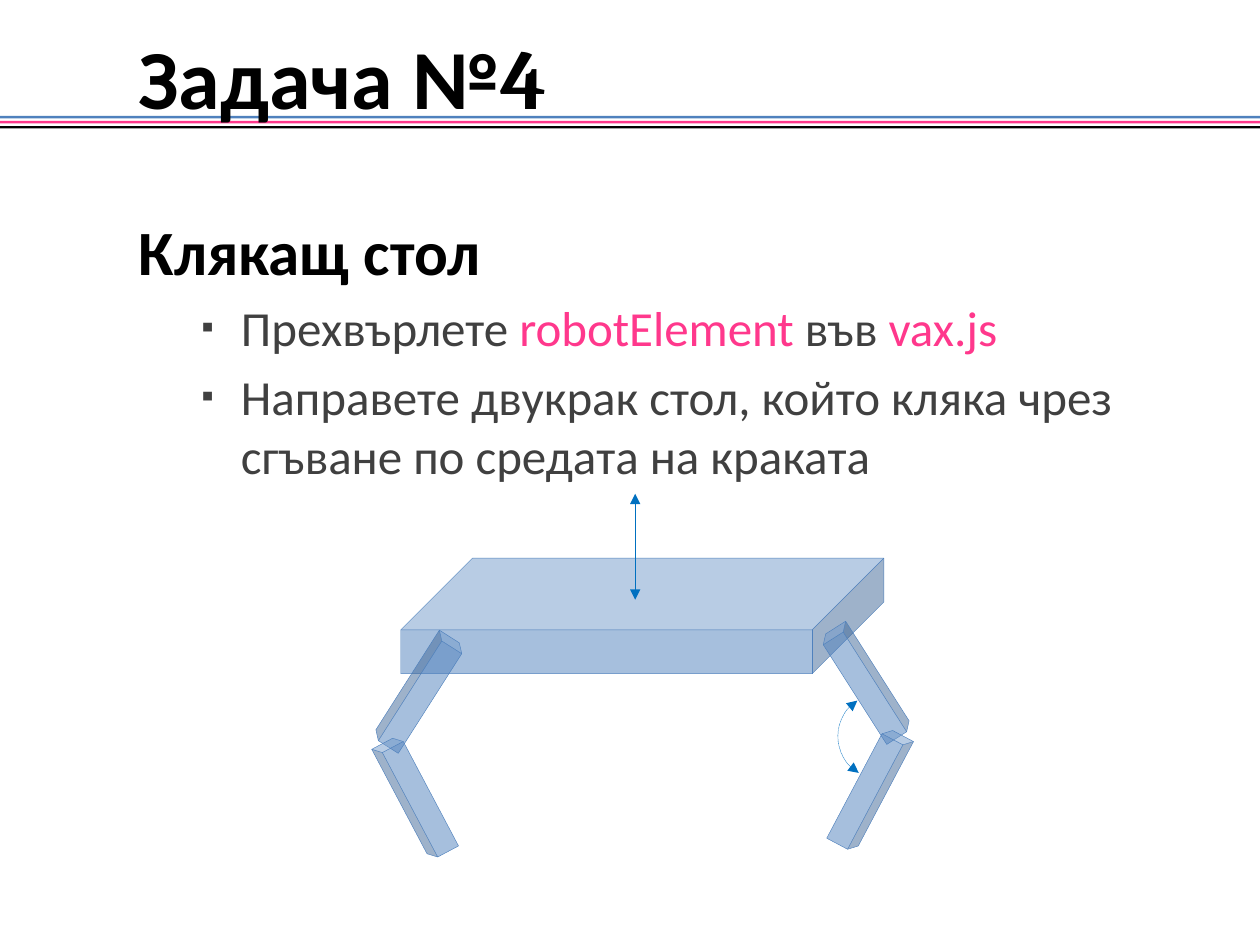
from dataclasses import dataclass

from lxml.etree import SubElement
from pptx import Presentation
from pptx.dml.color import RGBColor as RGB
from pptx.enum.dml import MSO_LINE
from pptx.enum.shapes import MSO_CONNECTOR, MSO_SHAPE as SHAPE
from pptx.enum.text import MSO_ANCHOR, MSO_AUTO_SIZE, PP_ALIGN
from pptx.oxml.ns import qn
from pptx.util import Pt


@dataclass(frozen=True)
class Theme:
    font: str = "Calibri"
    digit_font: str = "Cambria"
    black: RGB = RGB(0, 0, 0)
    gray: RGB = RGB(0x40, 0x40, 0x40)
    blue: RGB = RGB(0x4F, 0x81, 0xBD)
    pink: RGB = RGB(0xFF, 0x38, 0x8C)
    motion: RGB = RGB(0x00, 0x70, 0xC0)
    title_size: int = 48
    heading_size: int = 36
    item_size: int = 28
    hairline: float = 0.25


THEME = Theme()


def place(holder, left, top, width, height, anchor):
    holder.left, holder.top = Pt(left), Pt(top)
    holder.width, holder.height = Pt(width), Pt(height)
    frame = holder.text_frame
    frame.word_wrap = True
    frame.auto_size = MSO_AUTO_SIZE.NONE
    frame.vertical_anchor = anchor
    return frame


def style(paragraph, size, color, bold, margin=0, indent=0):
    paragraph.alignment = PP_ALIGN.LEFT
    font = paragraph.font
    font.name, font.size, font.bold = THEME.font, Pt(size), bold
    font.color.rgb = color
    properties = paragraph._p.get_or_add_pPr()
    properties.set("marL", str(Pt(margin)))
    properties.set("indent", str(Pt(indent)))
    return properties


def add_bullet(properties):
    color = SubElement(properties, qn("a:buClr"))
    SubElement(color, qn("a:srgbClr"), val=str(THEME.gray))
    SubElement(properties, qn("a:buSzPct"), val="70000")
    SubElement(properties, qn("a:buFont"), typeface=THEME.font)
    SubElement(properties, qn("a:buChar"), char="▪")
    properties.append(properties.find(qn("a:defRPr")))


def add_heading(frame, text):
    heading = frame.paragraphs[0]
    heading.text = text
    heading.line_spacing = 1.5
    heading.space_before = Pt(THEME.heading_size * 0.2)
    properties = style(heading, THEME.heading_size, THEME.black, True)
    SubElement(properties, qn("a:buNone"))
    properties.append(properties.find(qn("a:defRPr")))


def add_item(frame, *parts):
    item = frame.add_paragraph()
    item.level = 1
    item.space_before = Pt(THEME.item_size * 0.2)
    add_bullet(style(item, THEME.item_size, THEME.gray, False, 58.5, -22.5))
    for index, part in enumerate(parts):
        run = item.add_run()
        run.text = part
        run.font.color.rgb = THEME.pink if index % 2 else THEME.gray


def add_stripe(slide, top, color):
    stripe = slide.shapes.add_shape(SHAPE.RECTANGLE, Pt(-5.8), Pt(top), Pt(732.2), Pt(1.44))
    stripe.shadow.inherit = False
    stripe.fill.solid()
    stripe.fill.fore_color.rgb = color
    stripe.line.fill.background()
    slide.shapes.title._element.addprevious(stripe._element)


def add_block(slide, left, top, width, height, depth=0.25, turn=0, mirrored=False):
    block = slide.shapes.add_shape(SHAPE.CUBE, Pt(left), Pt(top), Pt(width), Pt(height))
    block.shadow.inherit = False
    block.adjustments[0] = depth
    block.rotation = turn
    if mirrored:
        block._element.spPr.find(qn("a:xfrm")).set("flipH", "1")
    block.fill.solid()
    block.fill.fore_color.rgb = THEME.blue
    tint = block._element.spPr.find(f"{qn('a:solidFill')}/{qn('a:srgbClr')}")
    SubElement(tint, qn("a:alpha"), val="50000")
    block.line.color.rgb = THEME.blue
    block.line.width = Pt(THEME.hairline)


def mark_motion(line):
    line.color.rgb = THEME.motion
    line.width = Pt(THEME.hairline)
    line.dash_style = MSO_LINE.ROUND_DOT
    for end in ("a:headEnd", "a:tailEnd"):
        SubElement(line._get_or_add_ln(), qn(end), type="triangle")


def add_lift_arrow(slide, x, top, bottom):
    arrow = slide.shapes.add_connector(MSO_CONNECTOR.STRAIGHT, Pt(x), Pt(top), Pt(x), Pt(bottom))
    mark_motion(arrow.line)
    SubElement(arrow._element.spPr, qn("a:effectLst"))


def add_fold_arrow(slide, left, top, width, height, start, end):
    fold = slide.shapes.add_shape(SHAPE.ARC, Pt(left), Pt(top), Pt(width), Pt(height))
    fold.shadow.inherit = False
    for index, degrees in enumerate((start, end)):
        fold.adjustments[index] = degrees * 0.6
    fold.fill.background()
    mark_motion(fold.line)


def main():
    deck = Presentation()
    deck.slide_width, deck.slide_height = Pt(720), Pt(540)
    slide = deck.slides.add_slide(deck.slide_layouts[1])

    for row, color in enumerate((THEME.blue, THEME.pink, THEME.black)):
        add_stripe(slide, 66.2 + 2.9 * row, color)

    title = place(slide.shapes.title, 0, 18, 720, 51, MSO_ANCHOR.MIDDLE).paragraphs[0]
    style(title, THEME.title_size, THEME.black, True, margin=72)
    title.add_run().text = "Задача №"
    number = title.add_run()
    number.text = "4"
    number.font.name = THEME.digit_font

    body = place(slide.placeholders[1], 72, 96, 642, 438, MSO_ANCHOR.TOP)
    add_heading(body, "Клякащ стол")
    add_item(body, "Прехвърлете ", "robotElement", " във ", "vax.js")
    add_item(body, "Направете двукрак стол, който кляка чрез сгъване по средата на краката")

    add_block(slide, 229, 319, 276, 66, depth=0.62)
    legs = (
        (486, 354.2, 327.5, False),
        (488.2, 415.4, 27.9, False),
        (230.4, 359.3, 32.5, True),
        (228.2, 419.8, 332.1, True),
    )
    for left, top, turn, mirrored in legs:
        add_block(slide, left, top, 18, 72, turn=turn, mirrored=mirrored)

    add_lift_arrow(slide, 363, 282.2, 342.7)
    add_fold_arrow(slide, 478.8, 396.7, 47.5, 48.2, 119.41, 238.27)
    deck.save("out.pptx")


if __name__ == "__main__":
    main()
